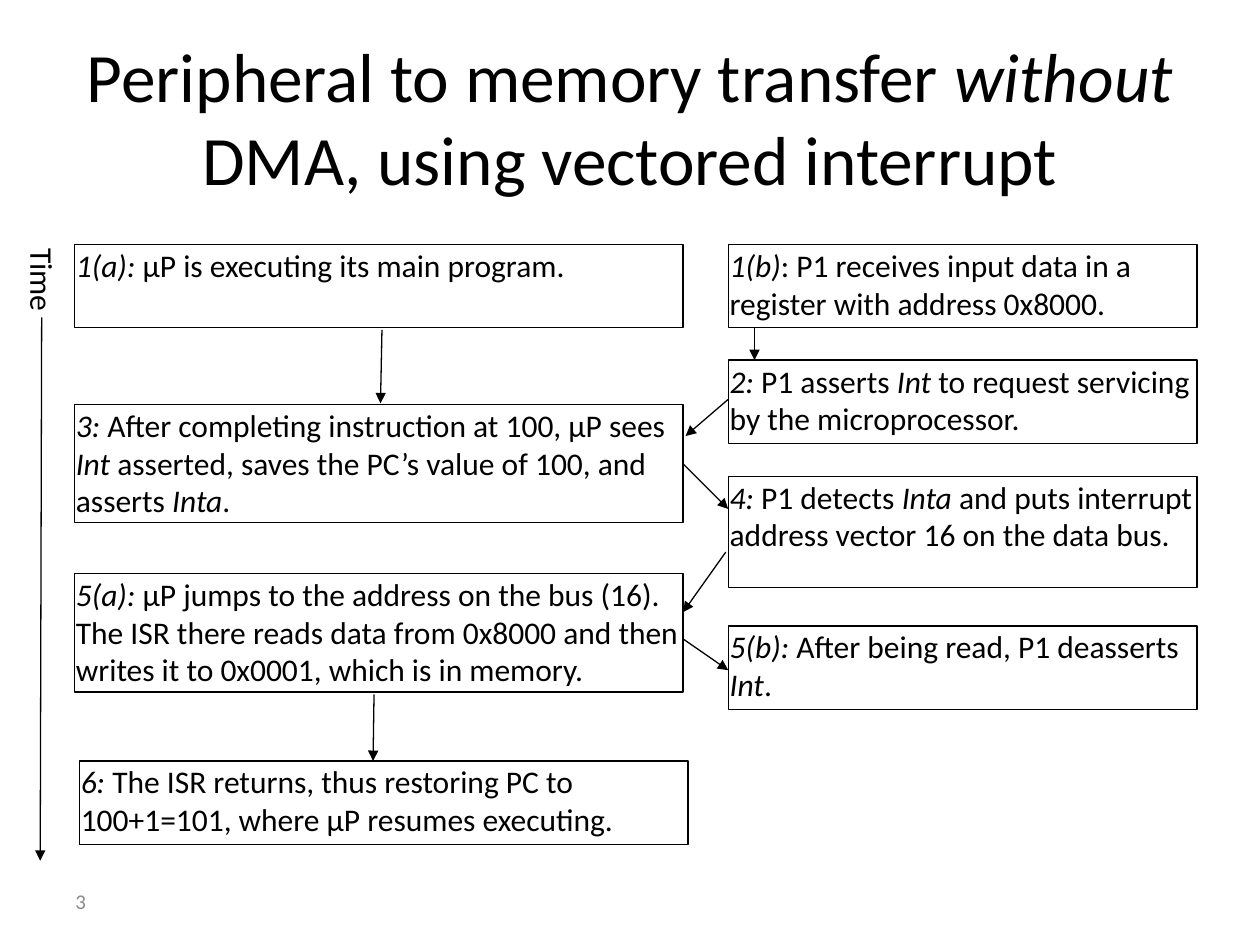
from lxml.etree import SubElement
from pptx import Presentation
from pptx.dml.color import RGBColor
from pptx.enum.shapes import MSO_CONNECTOR, MSO_SHAPE
from pptx.enum.text import MSO_ANCHOR, PP_ALIGN
from pptx.oxml.ns import qn
from pptx.util import Cm, Pt

LEFT, LEFT_WIDTH = 1.5, 12.27
RIGHT, RIGHT_WIDTH = 14.68, 9.45
TWO_LINES = 1.68  # height of a box that holds two lines

STEPS = [  # left, top, width, height, text
    (LEFT, 4.93, LEFT_WIDTH, TWO_LINES,
     "*1(a):* μP is executing its main program."),
    (RIGHT, 4.93, RIGHT_WIDTH, TWO_LINES,
     "*1(b)*: P1 receives input data in a register with address 0x8000."),
    (RIGHT, 7.26, RIGHT_WIDTH, TWO_LINES,
     "*2:* P1 asserts *Int* to request servicing by the microprocessor."),
    (LEFT, 8.15, LEFT_WIDTH, 2.39,
     "*3:* After completing instruction at 100, μP sees *Int* asserted, "
     "saves the PC’s value of 100, and asserts *Inta*."),
    (RIGHT, 9.6, RIGHT_WIDTH, 2.24,
     "*4:* P1 detects *Inta* and puts interrupt address vector 16 on the data bus."),
    (LEFT, 11.56, LEFT_WIDTH, 2.39,
     "*5(a):* μP jumps to the address on the bus (16). The ISR there reads data "
     "from 0x8000 and then writes it to 0x0001, which is in memory."),
    (RIGHT, 12.62, RIGHT_WIDTH, TWO_LINES,
     "*5(b):* After being read, P1 deasserts *Int*."),
    (1.6, 15.34, LEFT_WIDTH, TWO_LINES,
     "*6:* The ISR returns, thus restoring PC to 100+1=101, "
     "where μP resumes executing."),
]

ARROWS = [  # start x, start y, end x, end y
    (0.84, 6.4, 0.81, 17.35),  # time axis
    (7.7, 6.65, 7.67, 8.13),  # 1(a) to 3
    (15.21, 6.61, 15.21, 7.26),  # 1(b) to 2
    (14.68, 8.05, 13.82, 8.79),  # 2 to 3
    (13.77, 9.35, 14.68, 10.26),  # 3 to 4
    (14.63, 11.13, 13.77, 12.34),  # 4 to 5(a)
    (13.77, 12.88, 14.68, 13.51),  # 5(a) to 5(b)
    (7.54, 14, 7.52, 15.34),  # 5(a) to 6
]


def color(value):
    return RGBColor.from_string(value)


def lengths(*values):
    return [Cm(value) for value in values]


def write(shape, text, size=18, fill="000000", align=PP_ALIGN.LEFT,
          anchor=MSO_ANCHOR.TOP, inset=0.0, wrap=True):
    """Fill a shape with one paragraph; *asterisks* enclose italic words."""
    frame = shape.text_frame
    frame.word_wrap = wrap
    frame.vertical_anchor = anchor
    frame.margin_left = frame.margin_right = Cm(inset)
    frame.margin_top = frame.margin_bottom = Cm(inset)
    paragraph = frame.paragraphs[0]
    paragraph.alignment = align
    for index, part in enumerate(text.split("*")):
        if part:
            span = paragraph.add_run()
            span.text = part
            span.font.name = "Calibri"
            span.font.size = Pt(size)
            span.font.italic = index % 2 == 1
            span.font.color.rgb = color(fill)


def add_title(page, text):
    title = page.shapes.title
    title.left, title.top, title.width, title.height = lengths(
        1.27, 0.76, 22.86, 3.18)
    write(title, text, size=39.6, align=PP_ALIGN.CENTER,
          anchor=MSO_ANCHOR.MIDDLE, inset=0.2)


def add_step(page, left, top, width, height, text):
    box = page.shapes.add_shape(
        MSO_SHAPE.RECTANGLE, *lengths(left, top, width, height))
    box.shadow.inherit = False
    box.fill.background()
    box.line.color.rgb = color("000000")
    box.line.width = Pt(0.75)
    write(box, text, inset=0.03)


def add_arrow(page, *ends):
    arrow = page.shapes.add_connector(MSO_CONNECTOR.STRAIGHT, *lengths(*ends))
    arrow.line.color.rgb = color("000000")
    arrow.line.width = Pt(0.75)
    SubElement(arrow.line._get_or_add_ln(), qn("a:tailEnd"), type="triangle")
    SubElement(arrow._element.spPr, qn("a:effectLst"))


def add_label(page, left, top, width, height, text, rotation=0, **text_format):
    label = page.shapes.add_textbox(*lengths(left, top, width, height))
    label.rotation = rotation
    write(label, text, **text_format)


def main():
    deck = Presentation()
    deck.slide_width, deck.slide_height = lengths(25.4, 19.05)
    page = deck.slides.add_slide(deck.slide_layouts[5])
    add_title(page, "Peripheral to memory transfer *without* "
                    "DMA, using vectored interrupt")
    for step in STEPS:
        add_step(page, *step)
    for arrow in ARROWS:
        add_arrow(page, *arrow)
    add_label(page, 0.18, 5.26, 1.32, 0.81, "Time", rotation=90, wrap=False)
    add_label(page, 1.27, 17.65, 5.92, 1.02, "3", size=12, fill="8C8C8C",
              anchor=MSO_ANCHOR.MIDDLE, inset=0.25)
    deck.save("out.pptx")


if __name__ == "__main__":
    main()
